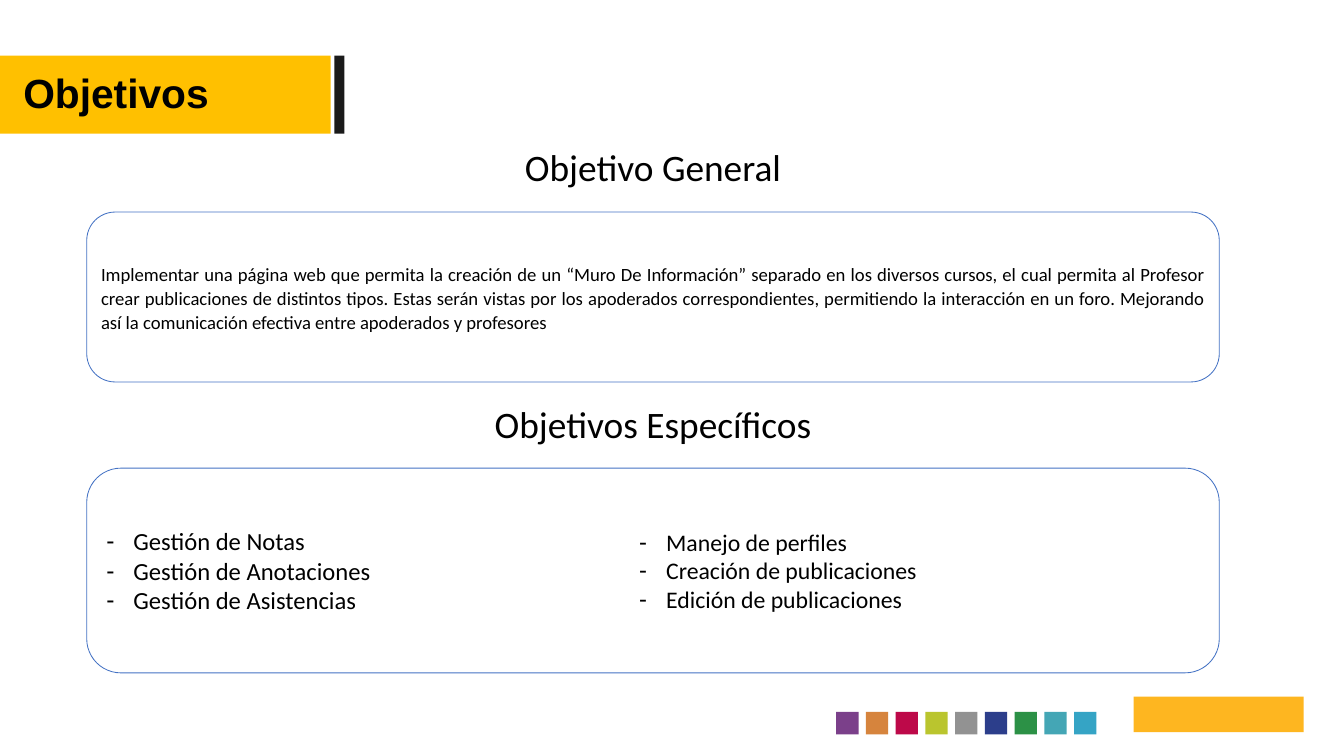
from lxml import etree
from pptx import Presentation
from pptx.dml.color import RGBColor
from pptx.enum import shapes, text
from pptx.oxml import ns
from pptx.util import Pt

AMBER = RGBColor(0xFF, 0xC0, 0x00)
CHARCOAL = RGBColor(0x1A, 0x1A, 0x1A)
BLACK = RGBColor(0x00, 0x00, 0x00)
WHITE = RGBColor(0xFF, 0xFF, 0xFF)
BLUE = RGBColor(0x44, 0x72, 0xC4)
EMBLEM = RGBColor(0xFE, 0xB6, 0x20)
STRIP = [RGBColor.from_string(code) for code in (
    "7B408A", "D6843D", "BD0949", "BAC52E", "929292",
    "2C3E8B", "2C9146", "44A6B5", "35A4C5")]

deck = Presentation()
deck.slide_width, deck.slide_height = Pt(1583.28), Pt(890.64)
slide = deck.slides.add_slide(deck.slide_layouts[3])
heading, management, publishing = slide.placeholders


def add_block(kind, left, top, width, height, fill):
    block = slide.shapes.add_shape(kind, Pt(left), Pt(top), Pt(width), Pt(height))
    block.shadow.inherit = False
    block.fill.solid()
    block.fill.fore_color.rgb = fill
    block.line.fill.background()
    return block


def write(paragraph, words, size, name="Calibri", bold=False):
    run = paragraph.add_run()
    run.text = words
    run.font.size, run.font.name, run.font.bold = Pt(size), name, bold
    run.font.color.rgb = BLACK


# Title band, colour strip and emblem block
RECT = shapes.MSO_SHAPE.RECTANGLE
add_block(RECT, 0, 65.5, 389.5, 92, AMBER)
add_block(RECT, 393.8, 65.5, 12, 92, CHARCOAL)
for i, colour in enumerate(STRIP):
    add_block(RECT, 985 + 35.03 * i, 838.8, 26.4, 26.4, colour)
add_block(RECT, 1335.6, 820.8, 200.2, 41.8, EMBLEM)

# Title, brought in front of its band
slide.shapes._spTree.append(heading._element)
heading.left, heading.top, heading.width, heading.height = Pt(27.4), Pt(80), Pt(342), Pt(58.3)
title = heading.text_frame
title.margin_left = title.margin_right = title.margin_top = title.margin_bottom = 0
title.auto_size = text.MSO_AUTO_SIZE.NONE
title.vertical_anchor = text.MSO_ANCHOR.TOP
title.paragraphs[0].alignment = text.PP_ALIGN.LEFT
write(title.paragraphs[0], "Objetivos", 48, "Arial", True)

# Section headings
for words, top in (("Objetivo General", 166.3), ("Objetivos Específicos", 468.7)):
    section = slide.shapes.add_textbox(Pt(27.4), Pt(top), Pt(1484), Pt(60.5)).text_frame
    section.word_wrap = True
    section.paragraphs[0].alignment = text.PP_ALIGN.CENTER
    write(section.paragraphs[0], words, 44)

# Outlined panels
panels = []
for top, height in ((249.8, 200.2), (551.5, 241.2)):
    panel = add_block(shapes.MSO_SHAPE.ROUNDED_RECTANGLE, 102.2, top, 1334.2, height, WHITE)
    panel.line.color.rgb = BLUE
    panel.line.width = Pt(1)
    panels.append(panel)

# General objective
general = panels[0].text_frame
general.word_wrap = True
general.vertical_anchor = text.MSO_ANCHOR.MIDDLE
statement = general.paragraphs[0]
statement.alignment = text.PP_ALIGN.JUSTIFY
statement.line_spacing = 1.08
statement.space_after = Pt(8)
write(statement, "Implementar una página web que permita la creación de un “Muro De Información” "
      "separado en los diversos cursos, el cual permita al Profesor crear publicaciones de "
      "distintos tipos. Estas serán vistas por los apoderados correspondientes, permitiendo la "
      "interacción en un foro. Mejorando así la comunicación efectiva entre apoderados y "
      "profesores", 22)

# Specific objectives, brought in front of their panel
columns = (
    (management, 114, 29, ("Gestión de Notas", "Gestión de Anotaciones", "Gestión de Asistencias")),
    (publishing, 741.6, 28, ("Manejo de perfiles", "Creación de publicaciones",
                             "Edición de publicaciones")),
)
for column, left, size, goals in columns:
    slide.shapes._spTree.append(column._element)
    column.left, column.top, column.width, column.height = Pt(left), Pt(551.5), Pt(620), Pt(241.2)
    goal_list = column.text_frame
    goal_list.auto_size = text.MSO_AUTO_SIZE.NONE
    goal_list.vertical_anchor = text.MSO_ANCHOR.MIDDLE
    for i, goal in enumerate(goals):
        item = goal_list.paragraphs[0] if i == 0 else goal_list.add_paragraph()
        item.space_before = Pt(0)
        props = item._p.get_or_add_pPr()
        props.set("marL", str(Pt(36)))
        props.set("indent", str(-Pt(32)))
        etree.SubElement(props, ns.qn("a:buChar")).set("char", "-")
        write(item, goal, size)

deck.save("out.pptx")
